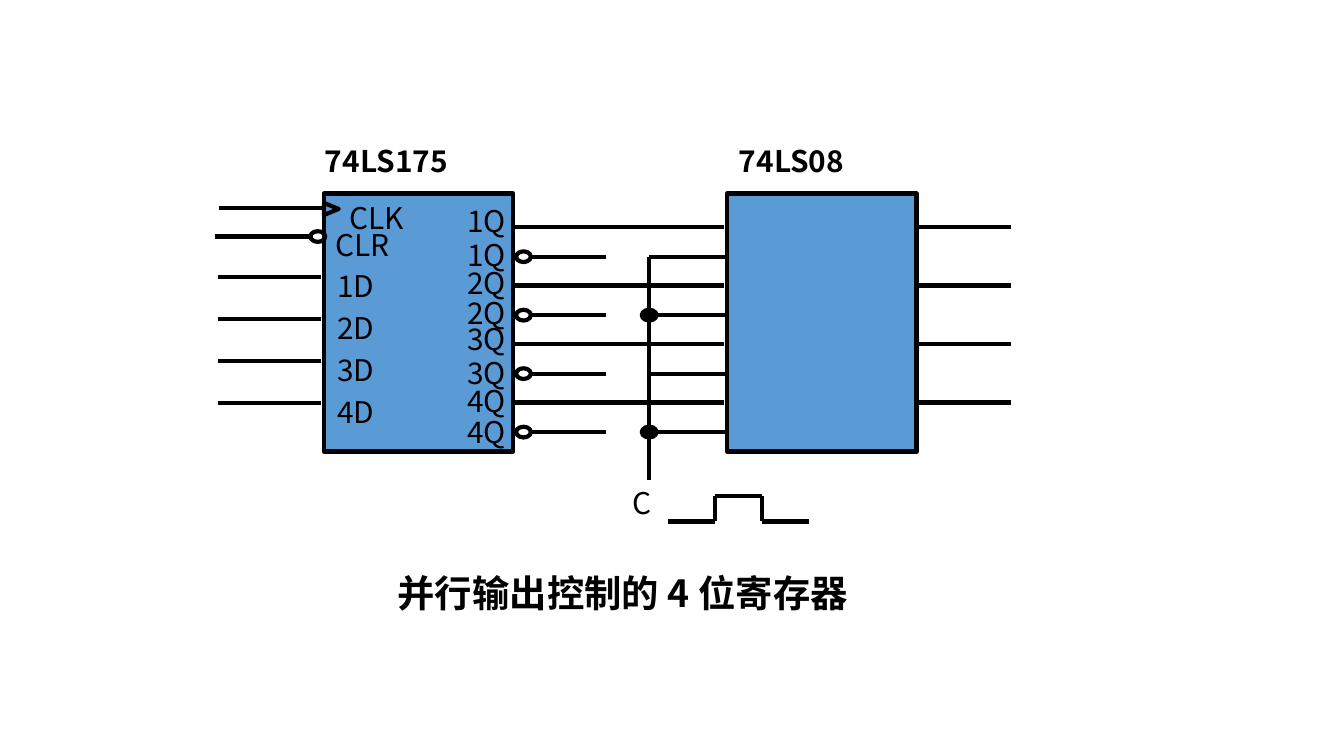
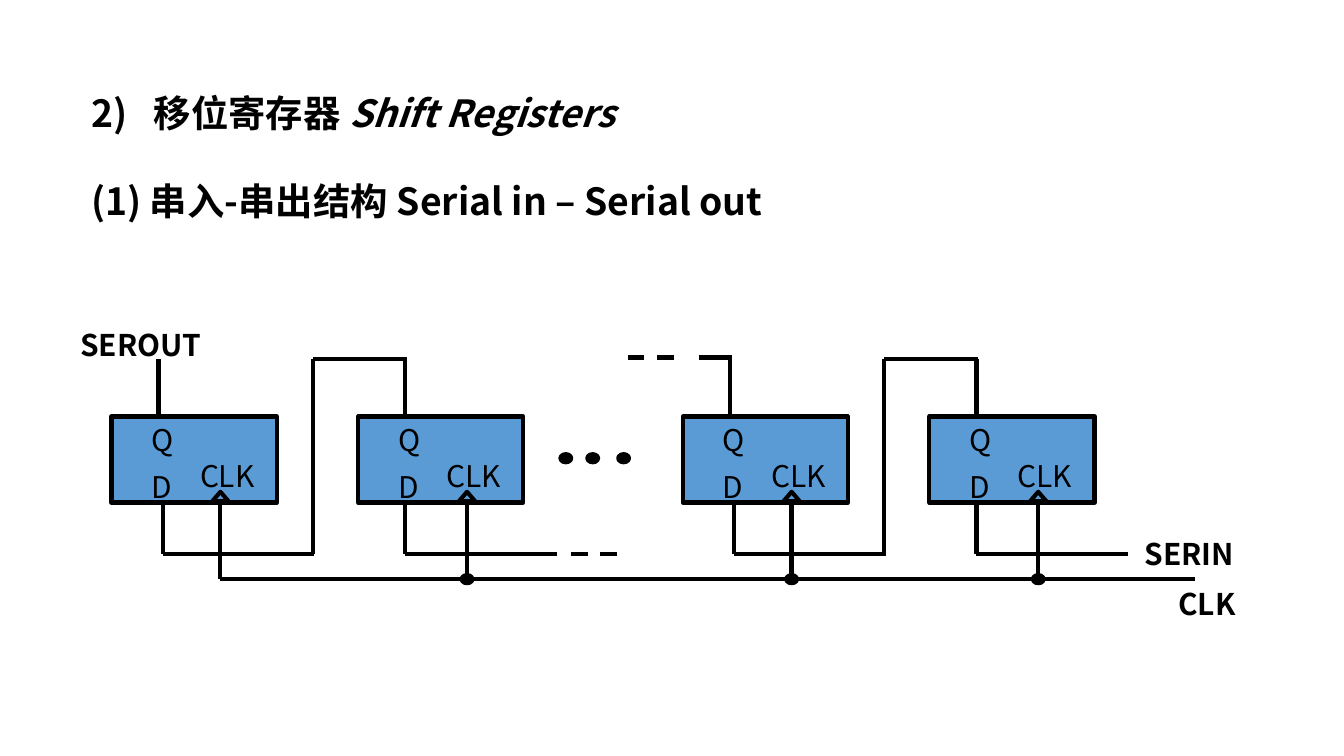
from itertools import pairwise

from lxml.etree import SubElement
from pptx import Presentation
from pptx.dml.color import RGBColor
from pptx.enum.dml import MSO_LINE
from pptx.enum.shapes import MSO_CONNECTOR, MSO_SHAPE
from pptx.enum.text import MSO_ANCHOR, PP_ALIGN
from pptx.oxml.ns import qn
from pptx.util import Inches, Pt

INK = "000000"
CHIP = "5B9BD5"
LABEL_FONT = "Noto Sans CJK SC"
HEADING_FONT = "Noto Sans CJK JP"
COLUMNS, ROWS = 100, 56.25


def paint(color_format, value):
    color_format.rgb = RGBColor.from_string(value)


class Schematic:
    stroke = Pt(2.25)
    label_size = Pt(16)
    heading_size = Pt(20)

    def __init__(self):
        self.deck = Presentation()
        self.deck.slide_width = Inches(10)
        self.deck.slide_height = Inches(10) * 9 // 16
        self.slide = None

    def new_slide(self):
        self.slide = self.deck.slides.add_slide(self.deck.slide_layouts[6])

    def x(self, columns):
        return round(self.deck.slide_width * columns / COLUMNS)

    def y(self, rows):
        return round(self.deck.slide_height * rows / ROWS)

    def frame(self, left, top, width, height):
        return self.x(left), self.y(top), self.x(width), self.y(height)

    def shape(self, kind, left, top, width, height, fill=CHIP, rotation=0):
        part = self.slide.shapes.add_shape(kind, *self.frame(left, top, width, height))
        part.shadow.inherit = False
        part.rotation = rotation
        if fill:
            part.fill.solid()
            paint(part.fill.fore_color, fill)
        else:
            part.fill.background()
        paint(part.line.color, INK)
        part.line.width = self.stroke

    def block(self, left, top, width, height):
        self.shape(MSO_SHAPE.RECTANGLE, left, top, width, height)

    def bubble(self, left, top):
        self.shape(MSO_SHAPE.OVAL, left, top, 1.1, 0.8, None)

    def dot(self, center, middle, width=0.8, height=0.6):
        self.shape(MSO_SHAPE.OVAL, center - width / 2, middle - height / 2, width, height, INK)

    def clock_mark(self, left, top, width, height, rotation=0):
        self.shape(MSO_SHAPE.FLOWCHART_EXTRACT, left, top, width, height, rotation=rotation)

    def wire(self, *points, dashed=False):
        for (x1, y1), (x2, y2) in pairwise(points):
            segment = self.slide.shapes.add_connector(
                MSO_CONNECTOR.STRAIGHT, self.x(x1), self.y(y1), self.x(x2), self.y(y2))
            paint(segment.line.color, INK)
            segment.line.width = self.stroke
            if dashed:
                segment.line.dash_style = MSO_LINE.DASH
            SubElement(segment._element.spPr, qn("a:effectLst"))

    def paragraph(self, left, top, width, height, wording):
        frame = self.slide.shapes.add_textbox(*self.frame(left, top, width, height)).text_frame
        frame.word_wrap = True
        frame.vertical_anchor = MSO_ANCHOR.TOP
        frame.text = wording
        frame.paragraphs[0].alignment = PP_ALIGN.LEFT
        return frame.paragraphs[0]

    def style(self, paragraph, typeface, size, bold):
        for run in paragraph.runs:
            run.font.name = typeface
            run.font.size = size
            run.font.bold = bold
            paint(run.font.color, INK)
            SubElement(run.font._element, qn("a:ea"), typeface=typeface)

    def label(self, left, top, wording, width=7.9, bold=False):
        paragraph = self.paragraph(left, top, width, 3.7, wording)
        self.style(paragraph, LABEL_FONT, self.label_size, bold)

    def heading(self, left, top, width, height, wording, italic="", spacing=0.9, tab=None):
        paragraph = self.paragraph(left, top, width, height, wording)
        paragraph.line_spacing = spacing
        if tab:
            stops = SubElement(paragraph._p.get_or_add_pPr(), qn("a:tabLst"))
            SubElement(stops, qn("a:tab"), pos=str(self.x(tab)), algn="l")
        if italic:
            tail = paragraph.add_run()
            tail.text = italic
            tail.font.italic = True
        self.style(paragraph, HEADING_FONT, self.heading_size, True)


def parallel_register(art):
    art.new_slide()
    art.heading(28.6, 42.3, 45, 6.2, "并行输出控制的 4 位寄存器")
    for left, name_left, name in ((24.1, 23.2, "74LS175"), (54.1, 54, "74LS08")):
        art.block(left, 14.4, 14.1, 19.2)
        art.label(name_left, 10.1, name, 15, True)

    art.clock_mark(24.2, 15, 0.9, 1.1, 90)
    art.wire((24, 15.5), (16.3, 15.5))
    art.label(25, 14.4, "CLK")
    art.wire((23, 17.6), (16, 17.6))
    art.bubble(23.1, 17.2)
    art.label(24, 16.4, "CLR")

    bus = 48.3
    label_rows = ((14.6, 17.1), (19.2, 21.4), (23.4, 25.9), (28, 30.3))
    for bit, rows in enumerate(label_rows):
        data_row = 20.6 + 3.13 * bit
        art.wire((23.9, data_row), (16.2, data_row))
        art.label(24.1, data_row - 1.2, f"{bit + 1}D")

        output_row = 16.9 + 4.35 * bit
        inverse_row = output_row + 2.2
        art.wire((53.9, output_row), (38.2, output_row))
        art.wire((75.2, output_row), (68.1, output_row))
        art.wire((39.5, inverse_row), (45.1, inverse_row))
        art.wire((54, inverse_row), (bus, inverse_row))
        art.bubble(38.4, inverse_row - 0.4)
        for row in rows:
            art.label(33.8, row, f"{bit + 1}Q")
        if bit % 2:
            art.dot(bus, inverse_row, 1.1, 0.8)

    art.wire((bus, 19.1), (bus, 35.7))
    art.label(46.1, 35.6, "C", 4.4)
    low, high = 38.8, 36.9
    art.wire((49.7, low), (53.2, low), (53.2, high), (56.7, high), (56.7, low), (60.2, low))


def shift_register(art):
    art.new_slide()
    art.heading(5.8, 6.6, 69.2, 5.6, "2)\t移位寄存器 ", "Shift Registers", tab=4.65)
    art.heading(5.8, 12.8, 71.7, 4.3, "(1) 串入-串出结构 Serial in – Serial out", spacing=1)

    link_row, data_row, clock_row = 26.7, 41.2, 43.1
    top, bottom = 31, 37.4

    def stage(left, data_offset):
        output, data, clock = left + 3.5, left + data_offset, left + 8.1
        art.block(left, top, 12.3, 6.4)
        art.label(left + 2, 34.4, "D", 2.7)
        art.label(left + 2, 30.9, "Q", 2.7)
        art.label(left + 5.6, 33.6, "CLK", 6.4)
        art.wire((output, top), (output, link_row))
        art.wire((data, bottom), (data, data_row), (data + 11.3, data_row))
        art.wire((clock, bottom), (clock, clock_row))
        art.clock_mark(clock - 0.6, 36.6, 1.2, 0.7)
        return clock

    clocks = []
    for pair_left in (8.3, 50.8):
        clocks += [stage(pair_left, 3.8), stage(pair_left + 18.35, 3.5)]
        riser = pair_left + 15
        art.wire((riser, data_row), (riser, link_row), (riser + 7, link_row))

    art.wire((clocks[0], clock_row), (88.9, clock_row))
    for clock in clocks[1:]:
        art.dot(clock, clock_row)

    for center in (42.1, 44.1, 46.4):
        art.dot(center, 34.1)
    art.wire((42.5, data_row), (46.7, data_row), dashed=True)
    art.wire((46.7, 26.6), (51, 26.6), dashed=True)
    art.wire((52, 26.6), (54.5, 26.6))

    art.label(5, 23.8, "SEROUT", 15, True)
    art.label(84.2, 39.4, "SERIN", 13.3, True)
    art.label(86.7, 43.1, "CLK", 11.7, True)


def main():
    art = Schematic()
    parallel_register(art)
    shift_register(art)
    art.deck.save("out.pptx")


if __name__ == "__main__":
    main()
